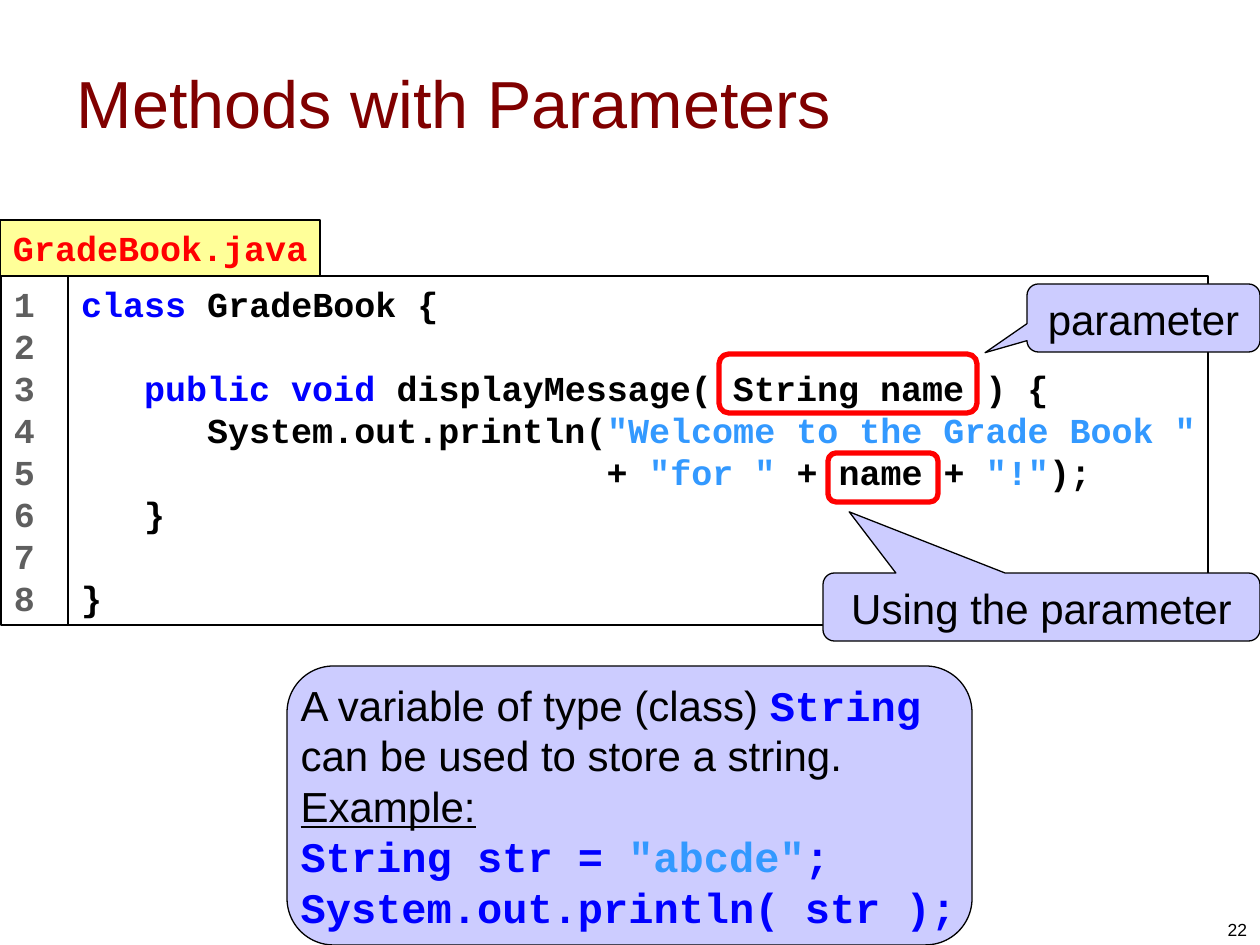
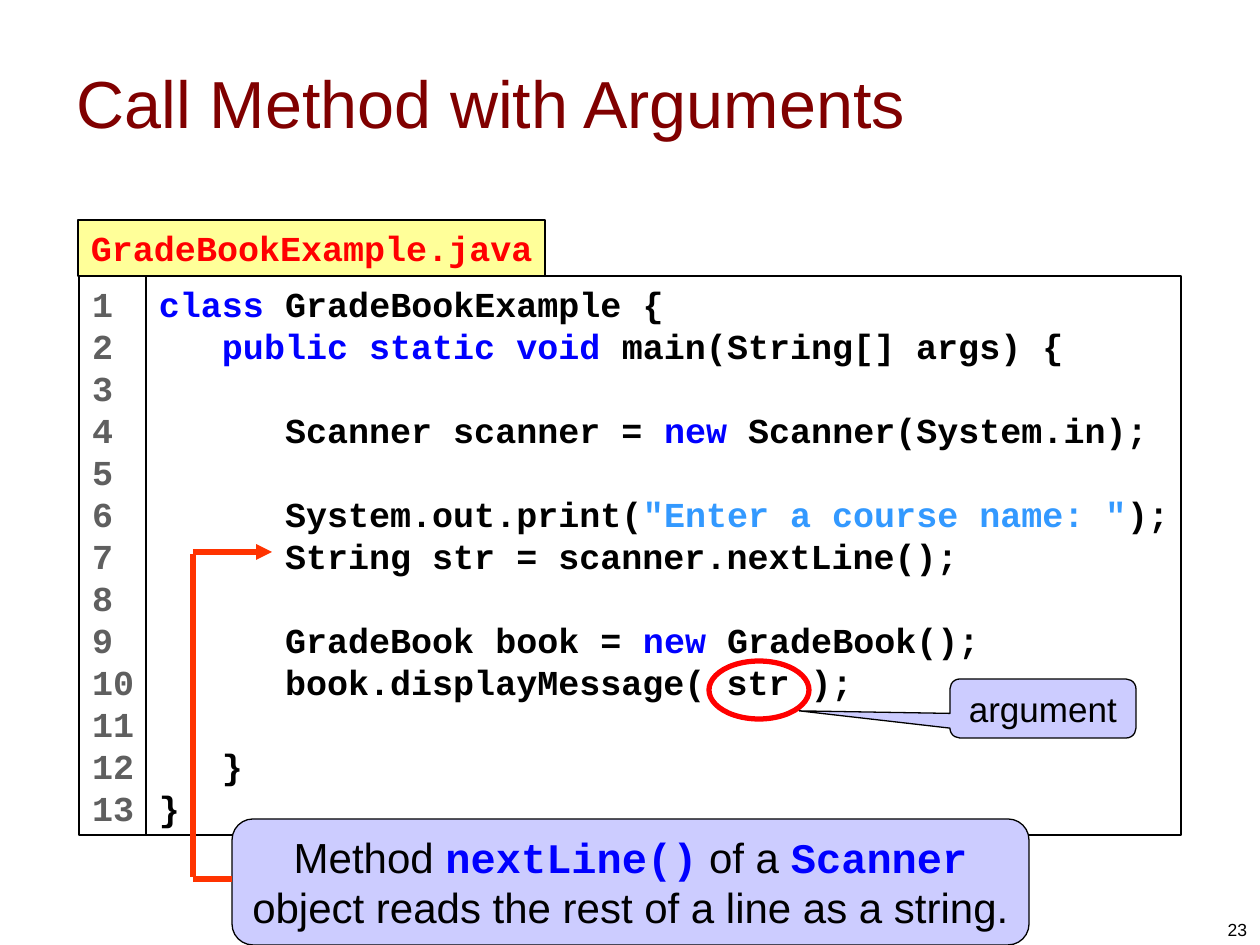
from lxml import etree
from pptx import Presentation
from pptx.dml.color import RGBColor
from pptx.enum.shapes import MSO_CONNECTOR, MSO_SHAPE
from pptx.enum.text import MSO_ANCHOR, MSO_AUTO_SIZE, PP_ALIGN
from pptx.oxml.ns import qn
from pptx.util import Pt

PX = 914400 / 126
RECT, ROUNDED, OVAL = MSO_SHAPE.RECTANGLE, MSO_SHAPE.ROUNDED_RECTANGLE, MSO_SHAPE.OVAL
CALLOUT, STRAIGHT = MSO_SHAPE.ROUNDED_RECTANGULAR_CALLOUT, MSO_CONNECTOR.STRAIGHT
TOP, MIDDLE, BOTTOM = MSO_ANCHOR.TOP, MSO_ANCHOR.MIDDLE, MSO_ANCHOR.BOTTOM
LEFT, CENTER, RIGHT = PP_ALIGN.LEFT, PP_ALIGN.CENTER, PP_ALIGN.RIGHT
FIT, FIXED = MSO_AUTO_SIZE.SHAPE_TO_FIT_TEXT, MSO_AUTO_SIZE.NONE

BLACK, RED, ORANGE = "000000", "FF0000", "FF3300"
LAVENDER, YELLOW = "CCCCFF", "FFFF99"
CORNER = 0.167
TAB_HEIGHT, GUTTER_WIDTH, LINE_HEIGHT, CODE_PADDING = 56, 67, 42, 13
NORMAL_MARGINS, LISTING_MARGINS, NO_MARGINS = (13, 13, 6), (13, 2, 6), (0, 0, 0)

SANS = {"name": "Arial"}
MONO = {"name": "Courier New", "bold": True}
STYLES = {
    "title": (SANS, "800000"),
    "text": (SANS, BLACK),
    "underlined": ({**SANS, "underline": True}, BLACK),
    "code": (MONO, BLACK),
    "keyword": (MONO, "0000FF"),
    "string": (MONO, "3399FF"),
    "gutter": (MONO, "5F5F5F"),
    "file": (MONO, RED),
}

GRADE_BOOK = [
    [("class", "keyword"), (" GradeBook {", "code")],
    [],
    [("   public void", "keyword"), (" displayMessage( String name ) {", "code")],
    [("      System.out.println(", "code"), ('"Welcome to the Grade Book "', "string")],
    [("                         + ", "code"), ('"for "', "string"), (" + name + ", "code"),
     ('"!"', "string"), (");", "code")],
    [("   }", "code")],
    [],
    [("}", "code")],
]
GRADE_BOOK_EXAMPLE = [
    [("class", "keyword"), (" GradeBookExample {", "code")],
    [("   public static void ", "keyword"), ("main(String[] args) {", "code")],
    [],
    [("      Scanner scanner = ", "code"), ("new", "keyword"), (" Scanner(System.in);", "code")],
    [],
    [("      System.out.print(", "code"), ('"Enter a course name: "', "string"), (");", "code")],
    [("      String str = scanner.nextLine();", "code")],
    [],
    [("      GradeBook book = ", "code"), ("new", "keyword"), (" GradeBook();", "code")],
    [("      book.displayMessage( str );", "code")],
    [],
    [("   }", "code")],
    [("}", "code")],
]
STRING_NOTE = [
    [("A variable of type (class) ", "text"), ("String", "keyword"),
     (" can be used to store a string.", "text")],
    [("Example:", "underlined")],
    [("String str = ", "keyword"), ('"abcde"', "string"), (";", "keyword")],
    [("System.out.println( str );", "keyword")],
]
NEXT_LINE_NOTE = [
    [("Method ", "text"), ("nextLine()", "keyword"), (" of a ", "text"),
     ("Scanner", "keyword"), (" object reads the rest of a line as a string.", "text")],
]


def px(*lengths):
    """Turn pixel lengths into EMU."""
    return [round(length * PX) for length in lengths]


def colour(value):
    """Turn a hex string into a colour."""
    return RGBColor.from_string(value)


def write(shape, paragraphs, size, align=LEFT, anchor=TOP, wrap=True, fit=FIT,
          margins=NORMAL_MARGINS):
    """Fill a shape with paragraphs of styled spans."""
    frame = shape.text_frame
    left, right, edge = px(*margins)
    layout = {"word_wrap": wrap, "auto_size": fit, "vertical_anchor": anchor,
              "margin_left": left, "margin_right": right,
              "margin_top": edge, "margin_bottom": edge}
    for name, value in layout.items():
        setattr(frame, name, value)
    for index, spans in enumerate(paragraphs):
        para = frame.add_paragraph() if index else frame.paragraphs[0]
        para.alignment = align
        for text, style in spans:
            span = para.add_run()
            span.text = text
            values, shade = STYLES[style]
            for name, value in {**values, "size": Pt(size)}.items():
                setattr(span.font, name, value)
            span.font.color.rgb = colour(shade)
        if not spans:
            end = etree.SubElement(para._p, qn("a:endParaRPr"), sz=str(size * 100), b="1")
            etree.SubElement(end, qn("a:latin"), typeface=MONO["name"])


def add_box(page, kind, box, fill=None, line=BLACK, width=0.75, adjustments=()):
    """Add an outlined shape, hollow unless a fill is given."""
    shape = page.shapes.add_shape(kind, *px(*box))
    shape.shadow.inherit = False
    if fill:
        shape.fill.solid()
        shape.fill.fore_color.rgb = colour(fill)
    else:
        shape.fill.background()
    shape.line.color.rgb = colour(line)
    shape.line.width = Pt(width)
    for index, value in enumerate(adjustments):
        shape.adjustments[index] = value
    return shape


def add_page(deck, title, number):
    """Add a blank page with its title and page number."""
    page = deck.slides.add_slide(deck.slide_layouts[6])
    heading = page.shapes.add_textbox(*px(64, 23, 1134, 158))
    write(heading, [[(title, "title")]], 38, anchor=MIDDLE, fit=FIXED)
    footer = page.shapes.add_textbox(*px(966, 883, 294, 63))
    write(footer, [[(str(number), "text")]], 10, RIGHT, BOTTOM, fit=FIXED)
    return page


def add_listing(page, left, top, file_name, tab_width, code_width, lines):
    """Add a file tab above numbered source code."""
    code_top = top + TAB_HEIGHT
    height = CODE_PADDING + LINE_HEIGHT * len(lines)
    numbers = [[(str(number), "gutter")] for number in range(1, len(lines) + 1)]
    parts = [
        ((left + GUTTER_WIDTH + 1, code_top, code_width, height), None, lines),
        ((left + 1, code_top, GUTTER_WIDTH, height), None, numbers),
        ((left, top, tab_width, TAB_HEIGHT), YELLOW, [[(file_name, "file")]]),
    ]
    for box, fill, paragraphs in parts:
        shape = add_box(page, RECT, box, fill)
        write(shape, paragraphs, 20, fit=FIXED, margins=LISTING_MARGINS)


def add_callout(page, box, text, size, tip):
    """Add a callout whose tip is given as shares of its size from its centre."""
    callout = add_box(page, CALLOUT, box, LAVENDER, adjustments=(*tip, CORNER))
    write(callout, [[(text, "text")]], size, CENTER, wrap=False)


def add_marker(page, kind, box):
    """Ring a piece of code in red."""
    add_box(page, kind, box, line=RED, width=3)


def add_note(page, box, paragraphs, align, margins):
    """Add a rounded note."""
    note = add_box(page, ROUNDED, box, LAVENDER)
    write(note, paragraphs, 24, align, MIDDLE, margins=margins)


def add_line(page, start, end, arrow=False):
    """Draw an orange line, with an arrowhead at its end if asked."""
    line = page.shapes.add_connector(STRAIGHT, *px(*start, *end))
    line.line.color.rgb = colour(ORANGE)
    line.line.width = Pt(3)
    properties = line._element.spPr
    if arrow:
        etree.SubElement(properties.find(qn("a:ln")), qn("a:tailEnd"), type="triangle")
    etree.SubElement(properties, qn("a:effectLst"))


def add_elbow(page, left, top, bottom, arrow_end, note_left):
    """Lead from a note up to a line of code."""
    add_line(page, (left, top), (arrow_end, top), arrow=True)
    add_line(page, (left, bottom), (note_left, bottom))
    add_line(page, (left, top + 2), (left, bottom - 2))


def build_parameters(deck):
    """Build the page on declaring and using a parameter."""
    page = add_page(deck, "Methods with Parameters", 22)
    add_listing(page, 0, 220, "GradeBook.java", 320, 1140, GRADE_BOOK)
    add_marker(page, ROUNDED, (719, 354, 258, 59))
    add_callout(page, (1027, 284, 233, 68), "parameter", 24, (-0.68, 0.51))
    add_marker(page, ROUNDED, (828, 453, 110, 49))
    add_callout(page, (823, 573, 437, 68), "Using the parameter", 24, (-0.44, -1.4))
    add_note(page, (287, 666, 685, 279), STRING_NOTE, LEFT, NO_MARGINS)


def build_arguments(deck):
    """Build the page on passing an argument."""
    page = add_page(deck, "Call Method with Arguments", 23)
    add_listing(page, 78, 220, "GradeBookExample.java", 467, 1035, GRADE_BOOK_EXAMPLE)
    add_marker(page, OVAL, (709, 661, 100, 58))
    add_callout(page, (950, 679, 186, 59), "argument", 20, (-1.31, 0.04))
    add_note(page, (232, 819, 797, 126), NEXT_LINE_NOTE, CENTER, NORMAL_MARGINS)
    add_elbow(page, 193, 552, 879, 272, 232)


def main():
    """Build and save the deck."""
    deck = Presentation()
    deck.slide_width, deck.slide_height = px(1260, 945)
    build_parameters(deck)
    build_arguments(deck)
    deck.save("out.pptx")


if __name__ == "__main__":
    main()
